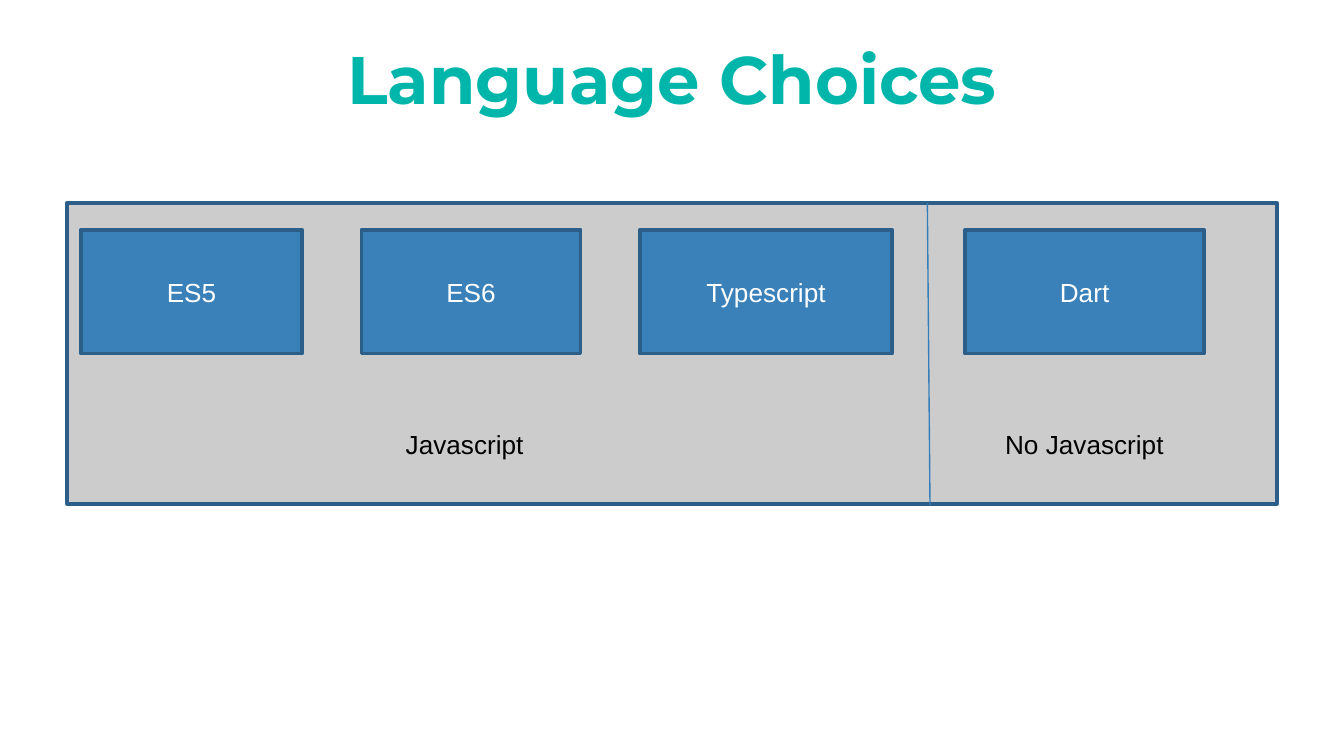
from dataclasses import dataclass

from lxml.etree import SubElement
from pptx import Presentation
from pptx.dml.color import RGBColor
from pptx.enum.shapes import MSO_CONNECTOR as Connector, MSO_SHAPE as Shape
from pptx.enum.text import MSO_ANCHOR as Anchor, PP_ALIGN as Align
from pptx.oxml.ns import qn
from pptx.util import Inches, Pt

COLORS = {
    "title": "00B6AA",
    "panel": "CCCCCC",
    "box": "3A81BA",
    "border": "2B5F8A",
    "divider": "367EB9",
    "box_text": "FFFFFF",
    "label": "000000",
}
SLIDE_WIDTH = 10
SLIDE_HEIGHT = SLIDE_WIDTH * 9 / 16
PANEL_TOP = 1.51
BOX_TOP, BOX_HEIGHT = 1.71, 0.92
LABEL_TOP, LABEL_HEIGHT = 3.14, 0.34


@dataclass(frozen=True)
class Item:
    text: str
    left: float
    width: float


LANGUAGES = [
    Item("ES5", 0.6, 1.65),
    Item("ES6", 2.69, 1.63),
    Item("Typescript", 4.76, 1.88),
    Item("Dart", 7.18, 1.78),
]
GROUPS = [Item("Javascript", 2.92, 1.08), Item("No Javascript", 7.38, 1.39)]

TITLE_FONT = {"name": "Montserrat", "size": Pt(36), "bold": True}
BODY_FONT = {"name": "Arial", "size": Pt(14)}


def color(role: str) -> RGBColor:
    return RGBColor.from_string(COLORS[role])


def write(frame, text: str, font: dict, role: str, align: Align) -> None:
    paragraph = frame.paragraphs[0]
    paragraph.alignment = align
    run = paragraph.add_run()
    run.text = text
    for attribute, value in font.items():
        setattr(run.font, attribute, value)
    run.font.color.rgb = color(role)


def add_title(slide, text: str) -> None:
    title = slide.shapes.add_textbox(Inches(0.5), Inches(0.04), Inches(9), Inches(0.94))
    frame = title.text_frame
    settings = {"word_wrap": True, "vertical_anchor": Anchor.BOTTOM}
    settings |= {f"margin_{side}": Inches(0.1) for side in ("left", "top", "right", "bottom")}
    for attribute, value in settings.items():
        setattr(frame, attribute, value)
    write(frame, text, TITLE_FONT, "title", Align.CENTER)


def add_rectangle(slide, left: float, top: float, width: float, height: float, fill: str):
    rectangle = slide.shapes.add_shape(
        Shape.RECTANGLE, Inches(left), Inches(top), Inches(width), Inches(height)
    )
    rectangle.shadow.inherit = False
    rectangle.fill.solid()
    rectangle.fill.fore_color.rgb = color(fill)
    rectangle.line.color.rgb = color("border")
    rectangle.line.width = Pt(2)
    return rectangle


def add_language(slide, language: Item) -> None:
    box = add_rectangle(slide, language.left, BOX_TOP, language.width, BOX_HEIGHT, "box")
    box.text_frame.vertical_anchor = Anchor.MIDDLE
    write(box.text_frame, language.text, BODY_FONT, "box_text", Align.CENTER)


def add_group_label(slide, group: Item) -> None:
    label = slide.shapes.add_textbox(
        Inches(group.left), Inches(LABEL_TOP), Inches(group.width), Inches(LABEL_HEIGHT)
    )
    label.text_frame.word_wrap = False
    write(label.text_frame, group.text, BODY_FONT, "label", Align.LEFT)


def add_divider(slide) -> None:
    divider = slide.shapes.add_connector(
        Connector.STRAIGHT, Inches(6.9), Inches(PANEL_TOP), Inches(6.92), Inches(3.76)
    )
    divider.line.color.rgb = color("divider")
    divider.line.width = Pt(0.75)
    SubElement(divider._element.spPr, qn("a:effectLst"))


def main() -> None:
    deck = Presentation()
    deck.slide_width, deck.slide_height = Inches(SLIDE_WIDTH), Inches(SLIDE_HEIGHT)
    slide = deck.slides.add_slide(deck.slide_layouts[6])
    add_title(slide, "Language Choices")
    add_rectangle(slide, 0.5, PANEL_TOP, 9, 2.24, "panel")
    for language in LANGUAGES:
        add_language(slide, language)
    for group in GROUPS:
        add_group_label(slide, group)
    add_divider(slide)
    deck.save("out.pptx")


if __name__ == "__main__":
    main()
